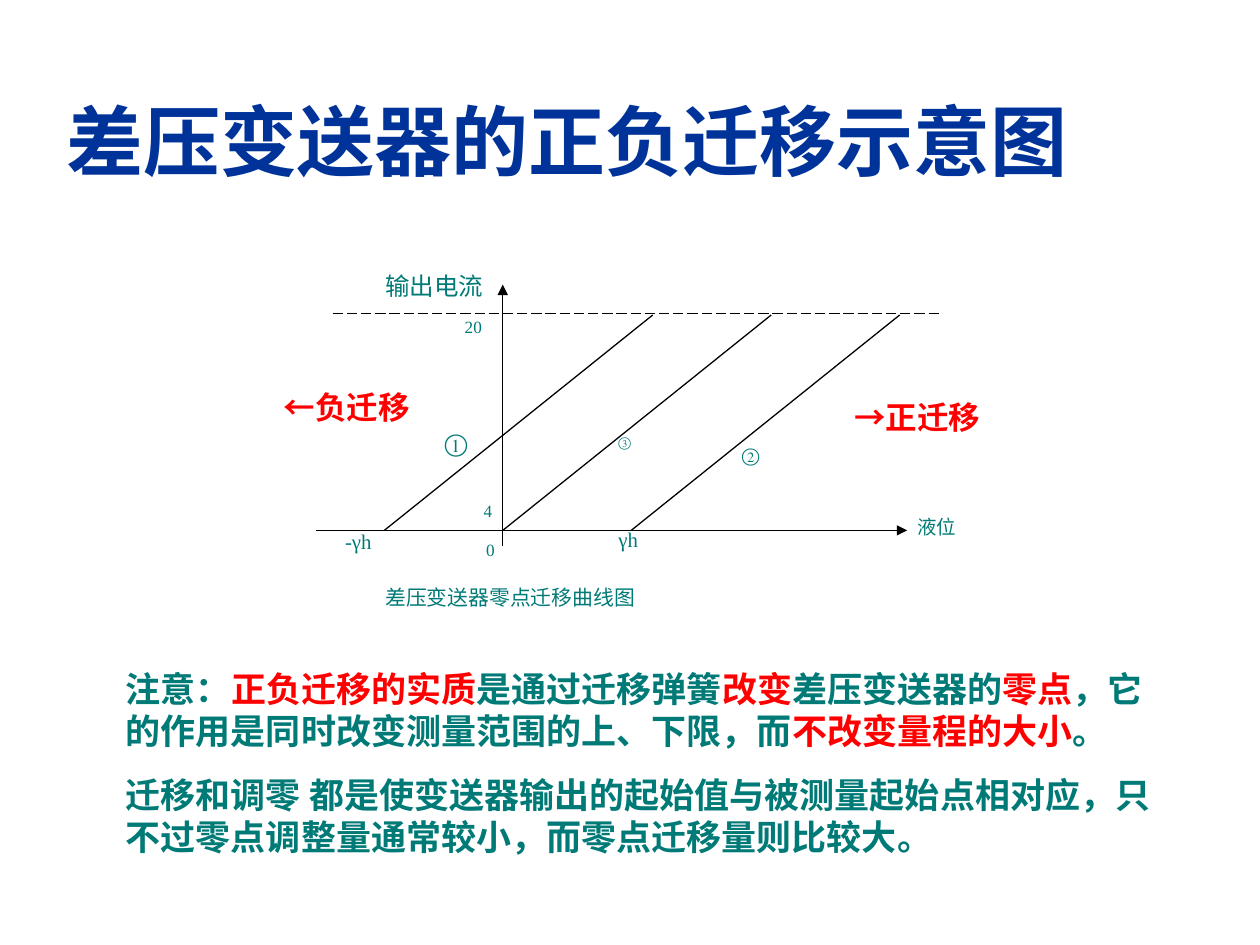
from dataclasses import dataclass

from lxml import etree
from pptx import Presentation
from pptx.dml.color import RGBColor
from pptx.enum.dml import MSO_LINE
from pptx.enum.lang import MSO_LANGUAGE_ID
from pptx.enum.shapes import MSO_CONNECTOR
from pptx.enum.text import MSO_ANCHOR, PP_ALIGN
from pptx.oxml.ns import qn
from pptx.slide import Slide
from pptx.util import Pt

STRAIGHT = MSO_CONNECTOR.STRAIGHT
LONG_DASH = MSO_LINE.LONG_DASH
CHINESE = MSO_LANGUAGE_ID.SIMPLIFIED_CHINESE
TOP, MIDDLE = MSO_ANCHOR.TOP, MSO_ANCHOR.MIDDLE
LEFT, CENTER, JUSTIFY = PP_ALIGN.LEFT, PP_ALIGN.CENTER, PP_ALIGN.JUSTIFY

NAVY, TEAL, RED, BLACK = "003399", "007A77", "FF0000", "000000"
SANS, SERIF = "Arial", "Times New Roman"

ORIGIN_X, ORIGIN_Y = 287.3, 303.1
FULL_SCALE_Y = 180
SPAN_WIDTH = 153.4
CURVE_STARTS = (219.6, ORIGIN_X, 360.7)


@dataclass(frozen=True)
class Area:
    left: float
    top: float
    width: float
    height: float


@dataclass(frozen=True)
class Label:
    text: str
    area: Area
    size: float
    spacing: float = 1.0


@dataclass(frozen=True)
class Line:
    x1: float
    y1: float
    x2: float
    y2: float
    arrow: bool = False
    dashed: bool = False


LINES = (
    Line(ORIGIN_X, 311.8, ORIGIN_X, 162.7, arrow=True),
    Line(180.7, ORIGIN_Y, 518.4, ORIGIN_Y, arrow=True),
    Line(190.1, 179.3, 537.1, 179.3, dashed=True),
    *(Line(x, ORIGIN_Y, x + SPAN_WIDTH, FULL_SCALE_Y) for x in CURVE_STARTS),
)

LABELS = (
    Label("输出电流", Area(213.1, 151.2, 85, 25.2), 14),
    Label("20", Area(258.5, 179.3, 31, 19.4), 9.8, 0.8),
    Label("4", Area(269.3, 284.4, 25.9, 19.4), 9.8, 0.8),
    Label("0", Area(270.7, 306.7, 25.2, 19.4), 9.8, 0.8),
    Label("-γh", Area(190.1, 300.2, 48.2, 22.3), 11.9, 0.9),
    Label("γh", Area(346.3, 298.8, 43.2, 22.3), 11.9, 0.9),
    Label("①", Area(247, 241.2, 26.6, 24.5), 14),
    Label("②", Area(416.9, 252.7, 31, 20.9), 10.8, 0.8),
    Label("③", Area(346.3, 246.2, 31.7, 18), 7.7, 0.8),
    Label("液位", Area(517, 292.3, 50.4, 21.6), 11.1, 0.9),
    Label("差压变送器零点迁移曲线图", Area(213.1, 331.9, 273.6, 22.3), 11.9, 0.9),
)

SHIFTS = (
    ("←负迁移", Area(146.9, 218.2, 102.2, 28.8)),
    ("→正迁移", Area(473, 223.9, 102.2, 28.8)),
)

NOTE = (
    "注意：|正负迁移的实质|是通过迁移弹簧|改变|差压变送器的|零点|，"
    "它的作用是同时改变测量范围的上、下限，而|不改变量程的大小|。\n"
    "迁移和调零 都是使变送器输出的起始值与被测量起始点相对应，"
    "只不过零点调整量通常较小，而零点迁移量则比较大。"
)


def rgb(value: str) -> RGBColor:
    return RGBColor.from_string(value)


def add_text(slide: Slide, text: str, *, area: Area, size: float,
             font: str = SANS, color: str = TEAL, accent: str = RED,
             bold: bool = False, align: PP_ALIGN = LEFT,
             anchor: MSO_ANCHOR = TOP, spacing: float = 1.0,
             gap: float = 0) -> None:
    box = slide.shapes.add_textbox(
        Pt(area.left), Pt(area.top), Pt(area.width), Pt(area.height))
    frame = box.text_frame
    frame.word_wrap = True
    frame.vertical_anchor = anchor
    for index, content in enumerate(text.split("\n")):
        para = frame.add_paragraph() if index else frame.paragraphs[0]
        para.alignment = align
        para.line_spacing = spacing
        if index:
            para.space_before = Pt(gap)
        for position, piece in enumerate(content.split("|")):
            span = para.add_run()
            span.text = piece
            span.font.name = font
            span.font.size = Pt(size)
            span.font.bold = bold
            span.font.language_id = CHINESE
            span.font.color.rgb = rgb(accent if position % 2 else color)


def add_line(slide: Slide, line: Line) -> None:
    connector = slide.shapes.add_connector(
        STRAIGHT, Pt(line.x1), Pt(line.y1), Pt(line.x2), Pt(line.y2))
    connector.line.width = Pt(0.75)
    connector.line.color.rgb = rgb(BLACK)
    if line.dashed:
        connector.line.dash_style = LONG_DASH
    properties = connector.element.spPr
    if line.arrow:
        etree.SubElement(properties.find(qn("a:ln")), qn("a:tailEnd"), type="triangle")
    etree.SubElement(properties, qn("a:effectLst"))


def main() -> None:
    deck = Presentation()
    deck.slide_width, deck.slide_height = Pt(720), Pt(540)
    page = deck.slides.add_slide(deck.slide_layouts[6])

    add_text(page, "差压变送器的正负迁移示意图", area=Area(31, 49, 648, 61.2),
             size=44, color=NAVY, bold=True, anchor=MIDDLE)
    add_text(page, NOTE, area=Area(64.8, 378, 612.7, 115.9),
             size=20, bold=True, gap=12.5)
    for line in LINES:
        add_line(page, line)
    for label in LABELS:
        add_text(page, label.text, area=label.area, size=label.size,
                 font=SERIF, align=JUSTIFY, spacing=label.spacing)
    for text, area in SHIFTS:
        add_text(page, text, area=area, size=18, color=RED, bold=True, align=CENTER)

    deck.save("out.pptx")


if __name__ == "__main__":
    main()
